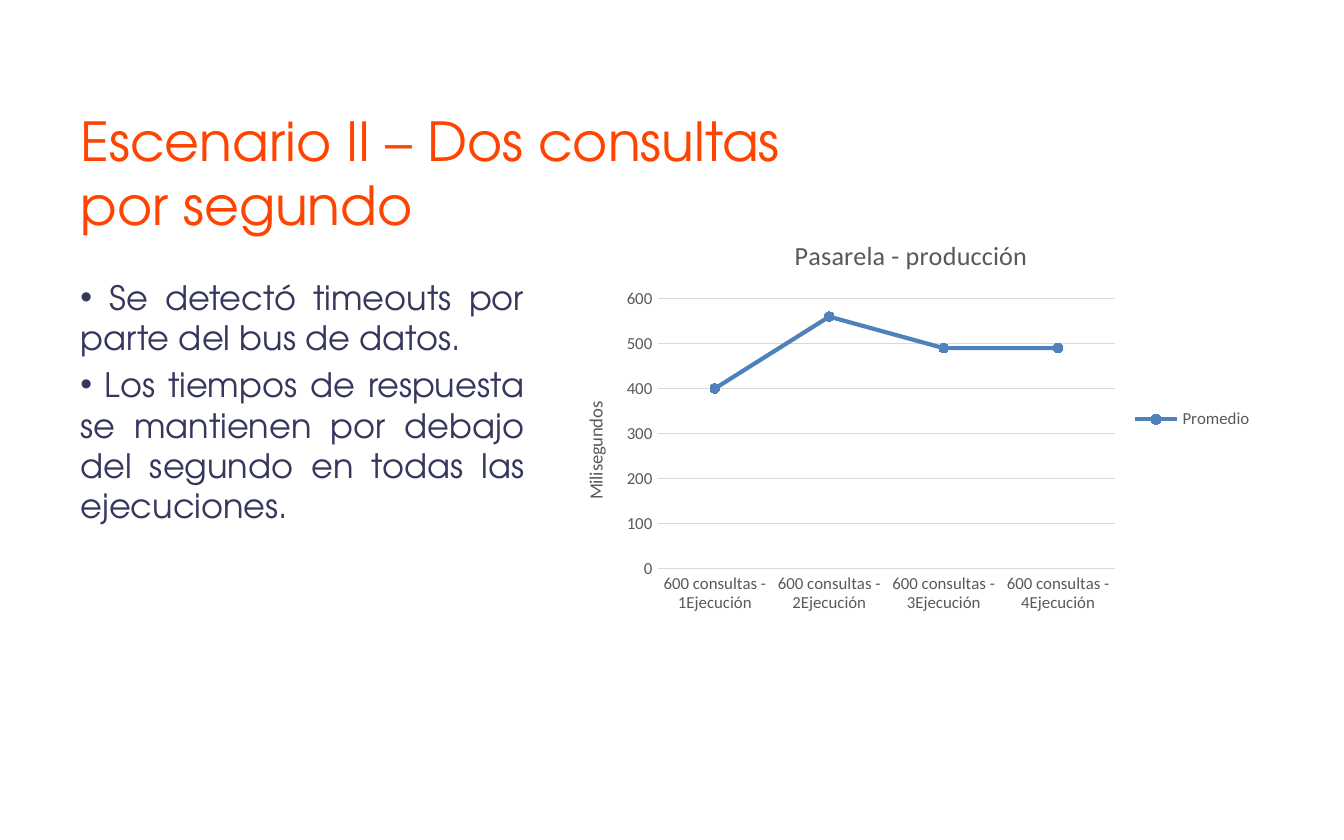
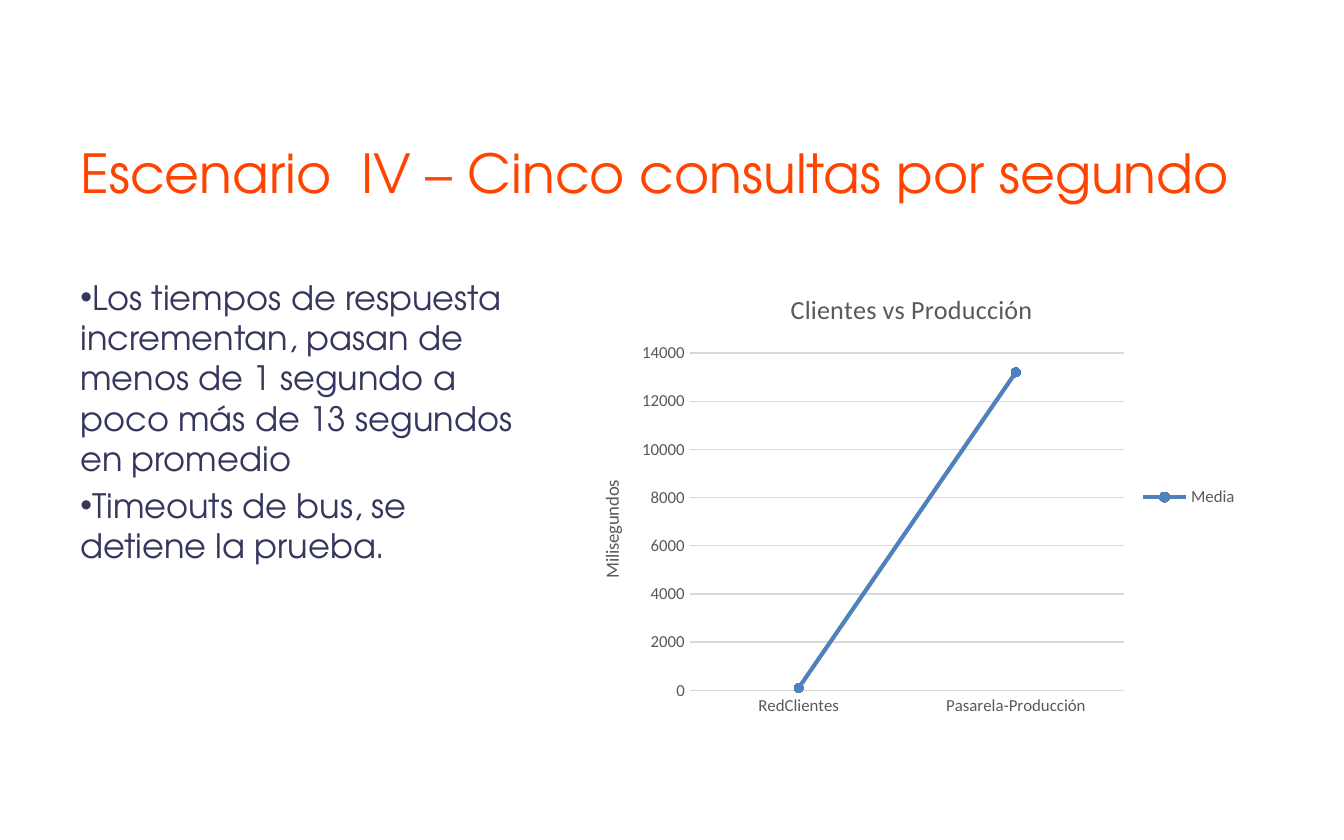
from lxml import etree
from pptx import Presentation
from pptx.chart.data import CategoryChartData
from pptx.dml.color import RGBColor
from pptx.enum.chart import (XL_CHART_TYPE, XL_LEGEND_POSITION,
                             XL_MARKER_STYLE, XL_TICK_MARK)
from pptx.enum.text import MSO_ANCHOR, PP_ALIGN
from pptx.oxml.ns import qn
from pptx.util import Inches, Pt

LINE_MARKERS = XL_CHART_TYPE.LINE_MARKERS
LEGEND_RIGHT = XL_LEGEND_POSITION.RIGHT
CIRCLE = XL_MARKER_STYLE.CIRCLE
NO_TICK = XL_TICK_MARK.NONE
MIDDLE, TOP = MSO_ANCHOR.MIDDLE, MSO_ANCHOR.TOP
LEFT, JUSTIFY = PP_ALIGN.LEFT, PP_ALIGN.JUSTIFY


def rgb(value):
    return RGBColor.from_string(value)


class Deck:
    """Shared style and current slide; boxes are percentages of the slide."""
    ORANGE, NAVY, BLUE = "FF4401", "35375E", "4F81BD"
    GRAY, GRID, WHITE = "595959", "D9D9D9", "FFFFFF"
    TEXT_FONT, CHART_FONT = "TeX Gyre Adventor", "Calibri"
    BULLET_FONT = "Arial"
    MARGIN, TITLE_TOP, TITLE_HEIGHT = 5, 12.16, 16.64
    BODY_TOP, BODY_WIDTH, BODY_HEIGHT = 32.16, 35, 54.08

    def __init__(self):
        self.prs = Presentation()
        self.prs.slide_width = Inches(10)
        self.prs.slide_height = Inches(6.25)

    def new_slide(self):
        self.s = self.prs.slides.add_slide(self.prs.slide_layouts[6])
        fill = self.s.background.fill
        fill.solid()
        fill.fore_color.rgb = rgb(self.WHITE)

    def place(self, left, top, width, height):
        w, h = self.prs.slide_width / 100, self.prs.slide_height / 100
        return [int(n) for n in (left * w, top * h, width * w, height * h)]

    def style(self, font, size, color, name):
        font.size, font.name, font.bold = Pt(size), name, False
        font.color.rgb = rgb(color)

    def text(self, box, paragraphs, size, color, anchor=TOP, align=LEFT):
        tf = self.s.shapes.add_textbox(*self.place(*box)).text_frame
        tf.word_wrap = True
        tf.vertical_anchor = anchor
        for i, words in enumerate(paragraphs):
            p = tf.add_paragraph() if i else tf.paragraphs[0]
            p.text = words
            p.alignment = align
            self.style(p.runs[0].font, size, color, self.TEXT_FONT)
        return tf

    def title(self, words, width):
        box = (self.MARGIN, self.TITLE_TOP, width, self.TITLE_HEIGHT)
        self.text(box, [words], 28.8, self.ORANGE, anchor=MIDDLE)

    def bullets(self, items, align=LEFT):
        box = (self.MARGIN, self.BODY_TOP, self.BODY_WIDTH, self.BODY_HEIGHT)
        tf = self.text(box, items, 18, self.NAVY, align=align)
        for p in tf.paragraphs:
            p.space_before = Pt(3.6)
            pPr = p._p.get_or_add_pPr()
            etree.SubElement(pPr, qn("a:buFont")).set(
                "typeface", self.BULLET_FONT)
            etree.SubElement(pPr, qn("a:buChar")).set("char", "•")

    def heading(self, owner, words, size):
        """Give a chart or an axis its title."""
        owner.has_title = True
        tf = (owner.chart_title if hasattr(owner, "chart_title")
              else owner.axis_title).text_frame
        tf.text = words
        self.style(tf.paragraphs[0].runs[0].font, size, self.GRAY,
                   self.CHART_FONT)

    def line(self, fmt, color, width):
        fmt.width = Pt(width)
        fmt.color.rgb = rgb(color)

    def line_chart(self, box, title, series_name, points, top_value, step):
        data = CategoryChartData()
        data.categories = list(points)
        data.add_series(series_name, list(points.values()))
        chart = self.s.shapes.add_chart(
            LINE_MARKERS, *self.place(*box), data).chart
        self.style(chart.font, 10, "000000", self.CHART_FONT)
        self.heading(chart, title, 14)

        # Axes
        cat, val = chart.category_axis, chart.value_axis
        for axis in (cat, val):
            axis.major_tick_mark = axis.minor_tick_mark = NO_TICK
            self.style(axis.tick_labels.font, 9, self.GRAY, self.CHART_FONT)
        self.line(cat.format.line, self.GRID, 0.75)
        val.format.line.fill.background()
        val.minimum_scale, val.maximum_scale = 0, top_value
        val.major_unit = step
        val.has_major_gridlines = True
        self.line(val.major_gridlines.format.line, self.GRID, 0.75)
        self.heading(val, "Milisegundos", 10)

        # Legend
        chart.has_legend = True
        chart.legend.position = LEGEND_RIGHT
        chart.legend.include_in_layout = False
        self.style(chart.legend.font, 9, self.GRAY, self.CHART_FONT)

        # Series
        plot = chart.plots[0]
        plot.vary_by_categories = False
        series = plot.series[0]
        series.smooth = False
        self.line(series.format.line, self.BLUE, 2.25)
        marker = series.marker
        marker.style, marker.size = CIRCLE, 5
        marker.format.fill.solid()
        marker.format.fill.fore_color.rgb = rgb(self.BLUE)
        self.line(marker.format.line, self.BLUE, 0.75)


def main():
    deck = Deck()

    # Scenario II
    deck.new_slide()
    deck.title("Escenario II – Dos consultas por segundo", 56.5)
    deck.bullets([
        " Se detectó timeouts por parte del bus de datos.",
        " Los tiempos de respuesta se mantienen por debajo del segundo "
        "en todas las ejecuciones.",
    ], align=JUSTIFY)
    averages = {f"600 consultas - {n}Ejecución": value
                for n, value in enumerate((400, 560, 490, 490), 1)}
    deck.line_chart((41.4, 25.92, 52.8, 48), "Pasarela - producción",
                    "Promedio", averages, 600, 100)

    # Scenario IV
    deck.new_slide()
    deck.title("Escenario  IV – Cinco consultas por segundo", 88.1)
    deck.bullets([
        "Los tiempos de respuesta incrementan, pasan de menos de 1 segundo "
        "a poco más de 13 segundos en promedio",
        "Timeouts de bus, se detiene la prueba.",
    ])
    deck.line_chart((42.6, deck.BODY_TOP, 50.5, deck.BODY_HEIGHT),
                    "Clientes vs Producción", "Media",
                    {"RedClientes": 100, "Pasarela-Producción": 13200},
                    14000, 2000)

    deck.prs.save("out.pptx")


if __name__ == "__main__":
    main()
